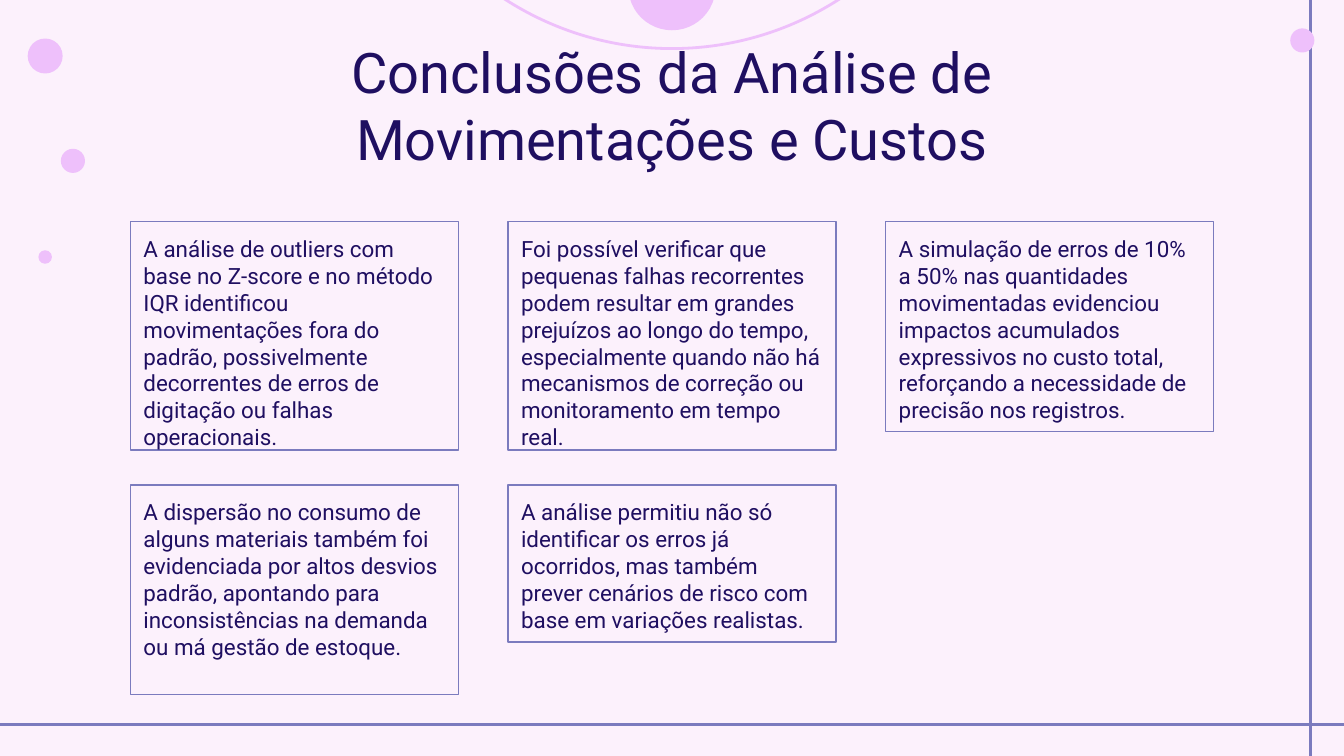
"""Build the slide with the conclusions of the movement and cost analysis."""
from lxml import etree
from pptx import Presentation
from pptx import util as u
from pptx.dml import color
from pptx.enum import shapes, text
from pptx.oxml import ns

TITLE = "Conclusões da Análise de Movimentações e Custos"
CONCLUSIONS = [
    (0, 0, 122.4, "A análise de outliers com base no Z-score e no método IQR identificou movimentações fora do padrão, possivelmente decorrentes de erros de digitação ou falhas operacionais."),
    (0, 1, 122.4, "Foi possível verificar que pequenas falhas recorrentes podem resultar em grandes prejuízos ao longo do tempo, especialmente quando não há mecanismos de correção ou monitoramento em tempo real."),
    (0, 2, 112.3, "A simulação de erros de 10% a 50% nas quantidades movimentadas evidenciou impactos acumulados expressivos no custo total, reforçando a necessidade de precisão nos registros."),
    (1, 0, 112.3, "A dispersão no consumo de alguns materiais também foi evidenciada por altos desvios padrão, apontando para inconsistências na demanda ou má gestão de estoque."),
    (1, 1, 84.2, "A análise permitiu não só identificar os erros já ocorridos, mas também prever cenários de risco com base em variações realistas."),
]
DOTS = [(697.7, 21.7, 12.2), (360, -7.2, 46.1), (24.2, 30, 18),
        (39.1, 86.2, 12.2), (24.2, 137.7, 6.5)]
RING = (360, -138.9, 329.8)
RULES = [(702, 0, 702, 405), (0, 388.1, 720, 388.1)]

PAPER, INK, BLUE, PINK = "FCF1FC", "1F0F61", "7B7BBE", "EEC0FB"
FONT = "Roboto"
GRID_LEFT, GRID_TOP = 69.8, 118.8
COLUMN_STEP, ROW_STEP, CARD_WIDTH = 202.3, 141.1, 175.8


def paint(target, hex_color):
    """Give a fill or font colour a solid colour."""
    if hasattr(target, "solid"):
        target.solid()
        target.fore_color.rgb = color.RGBColor.from_string(hex_color)
    else:
        target.color.rgb = color.RGBColor.from_string(hex_color)


def outline(shape, hex_color, width):
    """Set the line of a shape or connector."""
    paint(shape.line.fill, hex_color)
    shape.line.width = u.Pt(width)


def write(shape, words, size, alignment):
    """Put one formatted paragraph in a shape."""
    frame = shape.text_frame
    frame.text = words
    frame.word_wrap = True
    frame.auto_size = text.MSO_AUTO_SIZE.NONE
    frame.vertical_anchor = text.MSO_ANCHOR.TOP
    frame.margin_left = frame.margin_right = u.Pt(7.2)
    frame.margin_top = frame.margin_bottom = u.Pt(7.2)
    paragraph = frame.paragraphs[0]
    paragraph.alignment = alignment
    font = paragraph.runs[0].font
    font.name, font.size = FONT, u.Pt(size)
    paint(font, INK)


def add_outlined(slide, kind, box, line_color, width, fill=None):
    """Add a preset shape with an outline and an optional fill."""
    shape = slide.shapes.add_shape(kind, *map(u.Pt, box))
    shape.shadow.inherit = False
    if fill:
        paint(shape.fill, fill)
    else:
        shape.fill.background()
    outline(shape, line_color, width)
    return shape


def add_circle(slide, center_x, center_y, diameter, width, fill=None):
    """Add a pink circle around a centre."""
    box = (center_x - diameter / 2, center_y - diameter / 2, diameter, diameter)
    add_outlined(slide, shapes.MSO_SHAPE.OVAL, box, PINK, width, fill)


def main():
    """Build and save the slide."""
    presentation = Presentation()
    presentation.slide_width, presentation.slide_height = u.Pt(720), u.Pt(405)
    slide = presentation.slides.add_slide(presentation.slide_layouts[5])
    paint(slide.background.fill, PAPER)

    for ends in RULES:
        rule = slide.shapes.add_connector(shapes.MSO_CONNECTOR.STRAIGHT, *map(u.Pt, ends))
        outline(rule, BLUE, 1.5)
        etree.SubElement(rule._element.spPr, ns.qn("a:effectLst"))
    add_circle(slide, *RING, 1.5)
    for dot in DOTS:
        add_circle(slide, *dot, 0.75, PINK)

    title = slide.shapes.title
    title.left, title.top = u.Pt(91.4), u.Pt(13)
    title.width, title.height = u.Pt(537.2), u.Pt(45.4)
    write(title, TITLE, 30, text.PP_ALIGN.CENTER)

    for row, column, height, words in CONCLUSIONS:
        box = (GRID_LEFT + column * COLUMN_STEP, GRID_TOP + row * ROW_STEP, CARD_WIDTH, height)
        card = add_outlined(slide, shapes.MSO_SHAPE.RECTANGLE, box, BLUE, 0.75)
        write(card, words, 12, text.PP_ALIGN.LEFT)

    presentation.save("out.pptx")


if __name__ == "__main__":
    main()
